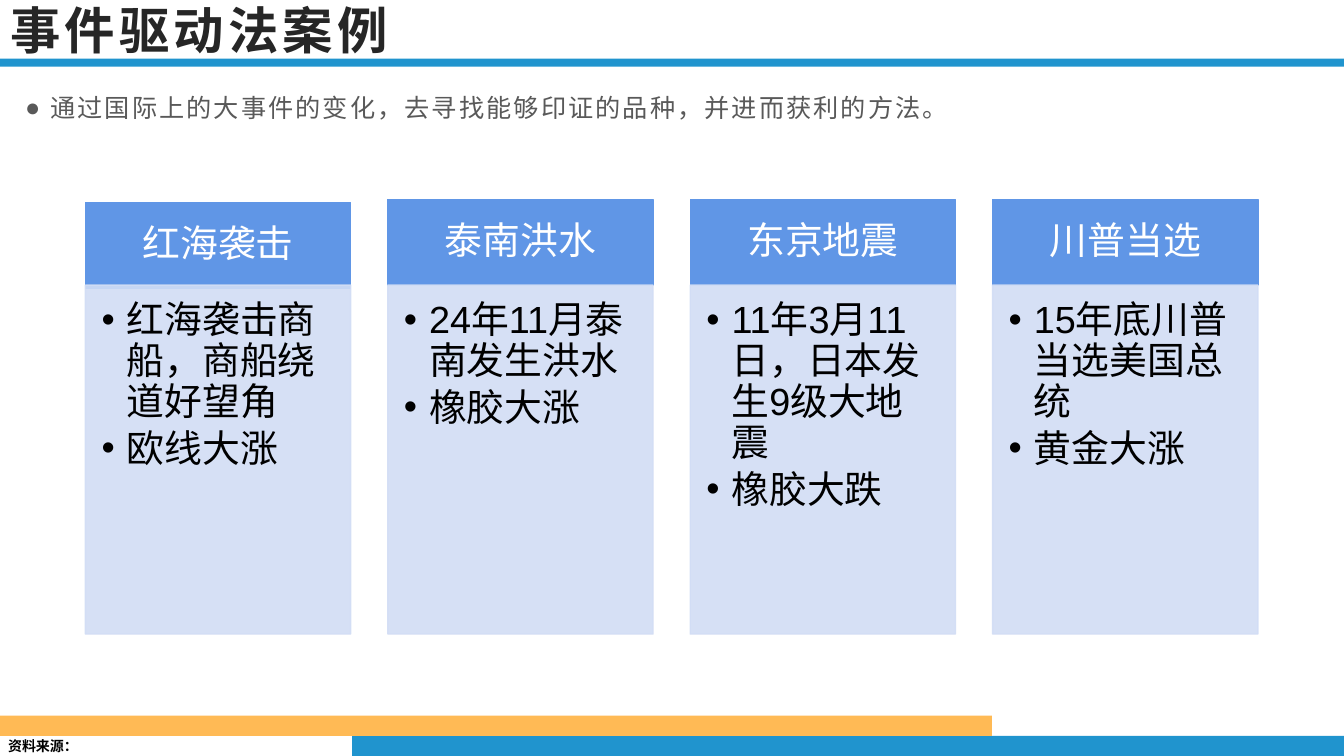
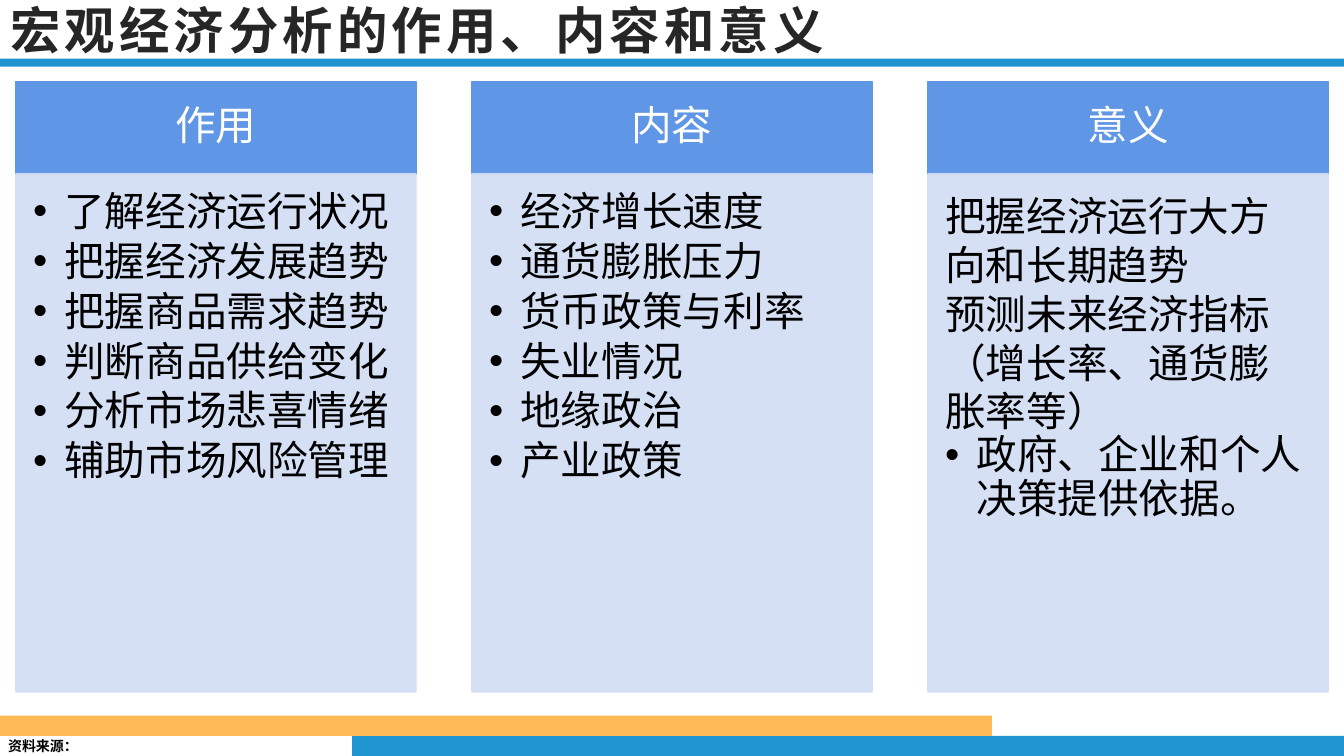
from lxml.etree import SubElement
from pptx import Presentation
from pptx.dml.color import RGBColor
from pptx.enum.shapes import MSO_SHAPE
from pptx.enum.text import MSO_ANCHOR, PP_ALIGN
from pptx.oxml.ns import qn
from pptx.util import Pt

COLORS = {
    "blue": "2094CE", "amber": "FFBA55", "head": "6096E6", "card": "D2DDF5",
    "title": "262626", "lead": "595959", "black": "000000", "white": "FFFFFF",
}
SANS, LATIN = "Noto Sans CJK SC", "Arial"
WIDE, HIGH = 960, 540

BANDS = [  # colour, left, top, width, height
    ("blue", 251.5, 525.6, 708.5, 14.4),
    ("amber", 0, 511.2, 708.5, 14.4),
    ("blue", 0, 41.8, WIDE, 5.8),
]
SOURCE = "资料来源："

EVENTS = {
    "title": "事件驱动法案例",
    "lead": "通过国际上的大事件的变化，去寻找能够印证的品种，并进而获利的方法。",
    "grid": {"left": 61, "top": 142.4, "width": 189.5, "step": 216,
             "head": 61.2, "body": 249.3, "size": 27, "hang": 18,
             "pad": (15, 8.6), "inset": (11.5, 11.5, 15, 17)},
    "cards": [
        {"head": "红海袭击", "drop": 2.2,
         "list": ["红海袭击商船，商船绕道好望角", "欧线大涨"]},
        {"head": "泰南洪水", "list": ["24年11月泰南发生洪水", "橡胶大涨"]},
        {"head": "东京地震", "list": ["11年3月11日，日本发生9级大地震", "橡胶大跌"]},
        {"head": "川普当选", "list": ["15年底川普当选美国总统", "黄金大涨"]},
    ],
}
MACRO = {
    "title": "宏观经济分析的作用、内容和意义",
    "grid": {"left": 11.2, "top": 58.4, "width": 286, "step": 325.8,
             "head": 65.8, "body": 370, "size": 29, "hang": 22.3,
             "pad": (16.5, 9.4), "inset": (12.4, 12.4, 16.5, 18)},
    "cards": [
        {"head": "作用",
         "list": ["了解经济运行状况", "把握经济发展趋势", "把握商品需求趋势",
                  "判断商品供给变化", "分析市场悲喜情绪", "辅助市场风险管理"]},
        {"head": "内容",
         "list": ["经济增长速度", "通货膨胀压力", "货币政策与利率",
                  "失业情况", "地缘政治", "产业政策"]},
        {"head": "意义",
         "plain": ["把握经济运行大方向和长期趋势",
                   "预测未来经济指标（增长率、通货膨胀率等）"],
         "list": ["政府、企业和个人决策提供依据。"]},
    ],
}


def rgb(name):
    return RGBColor.from_string(COLORS[name])


def fade(fill, alpha):
    """Set the opacity, in percent, of every solid colour in a shape."""
    for color in fill.element.spPr.iter(qn("a:srgbClr")):
        SubElement(color, qn("a:alpha")).set("val", str(alpha * 1000))


def add_box(slide, color, left, top, width, height, edge=False):
    box = slide.shapes.add_shape(
        MSO_SHAPE.RECTANGLE, Pt(left), Pt(top), Pt(width), Pt(height))
    box.shadow.inherit = False
    box.fill.solid()
    box.fill.fore_color.rgb = rgb(color)
    if edge:
        box.line.color.rgb = rgb(color)
        box.line.width = Pt(1)
    else:
        box.line.fill.background()
    return box


def set_frame(frame, left, top, right, bottom, anchor=MSO_ANCHOR.TOP):
    frame.word_wrap = True
    frame.vertical_anchor = anchor
    frame.margin_left, frame.margin_top = Pt(left), Pt(top)
    frame.margin_right, frame.margin_bottom = Pt(right), Pt(bottom)


def style(para, size, color, font=LATIN, bold=False, track=0):
    """Format the runs; track is the letter spacing in points."""
    for run in para.runs:
        run.font.size, run.font.bold = Pt(size), bold
        run.font.name, run.font.color.rgb = font, rgb(color)
        props = run.font._element
        if font == SANS:
            SubElement(props, qn("a:ea")).set("typeface", font)
        if track:
            props.set("spc", str(int(track * 100)))


def add_bullet(para, mark, hang):
    props = para._p.get_or_add_pPr()
    props.set("marL", str(Pt(hang)))
    props.set("indent", str(-Pt(hang)))
    SubElement(props, qn("a:buFont")).set("typeface", LATIN)
    SubElement(props, qn("a:buChar")).set("char", mark)


def add_lead(slide, text):
    box = slide.shapes.add_textbox(Pt(10.8), Pt(56), Pt(938), Pt(48))
    set_frame(box.text_frame, 7.2, 3.6, 7.2, 3.6)
    para = box.text_frame.paragraphs[0]
    para.text = text
    para.line_spacing, para.space_after = 1.3, Pt(10)
    add_bullet(para, "●", 18)
    style(para, 18, "lead", track=1.5)


def add_card(slide, card, grid, left):
    size, top, width = grid["size"], grid["top"], grid["width"]
    head = add_box(slide, "head", left, top + card.get("drop", 0),
                   width, grid["head"], edge=True)
    set_frame(head.text_frame, *grid["pad"] * 2, MSO_ANCHOR.MIDDLE)
    para = head.text_frame.paragraphs[0]
    para.text = card["head"]
    para.alignment, para.line_spacing = PP_ALIGN.CENTER, 0.9
    style(para, size, "white")

    body = add_box(slide, "card", left, top + grid["head"],
                   width, grid["body"], edge=True)
    fade(body, 90)
    set_frame(body.text_frame, *grid["inset"])
    plain = card.get("plain", [])
    body.text_frame.text = "\n".join(plain + card["list"])
    for i, para in enumerate(body.text_frame.paragraphs):
        para.alignment = PP_ALIGN.LEFT
        if i >= len(plain):
            para.line_spacing = 0.9
            para.space_after = Pt(round(size * 0.15, 2))
            add_bullet(para, "•", grid["hang"])
        style(para, size, "black")


def add_frame(slide):
    """Draw the bands and the source label that all slides share."""
    for band in BANDS:
        add_box(slide, *band)
    label = slide.shapes.add_textbox(Pt(0), Pt(523), Pt(80), Pt(17))
    set_frame(label.text_frame, 5.8, 3.6, 0, 0)
    label.text_frame.text = SOURCE
    style(label.text_frame.paragraphs[0], 10, "black", SANS, bold=True)


def set_title(slide, text):
    title = slide.shapes.title
    title.left, title.top = Pt(0), Pt(0)
    title.width, title.height = Pt(824), Pt(42)
    set_frame(title.text_frame, 7.2, 3.6, 7.2, 3.6, MSO_ANCHOR.MIDDLE)
    title.text_frame.text = text
    para = title.text_frame.paragraphs[0]
    para.alignment = PP_ALIGN.LEFT
    style(para, 36, "title", SANS, bold=True, track=3)


def main():
    deck = Presentation()
    deck.slide_width, deck.slide_height = Pt(WIDE), Pt(HIGH)
    for page in (EVENTS, MACRO):
        slide = deck.slides.add_slide(deck.slide_layouts[5])
        add_frame(slide)
        set_title(slide, page["title"])
        if "lead" in page:
            add_lead(slide, page["lead"])
        grid = page["grid"]
        for i, card in enumerate(page["cards"]):
            add_card(slide, card, grid, grid["left"] + i * grid["step"])
    deck.save("out.pptx")


if __name__ == "__main__":
    main()
